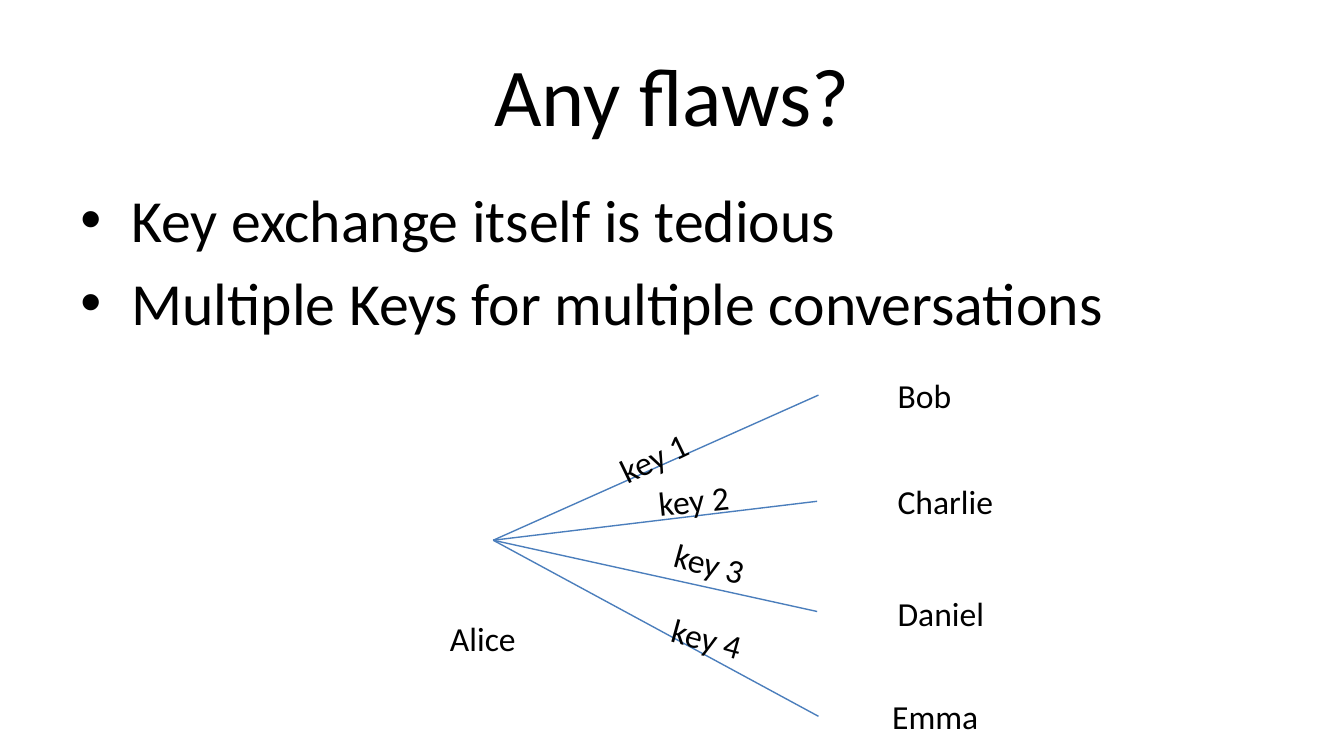
from dataclasses import dataclass

from lxml import etree
from pptx import Presentation
from pptx.dml.color import RGBColor
from pptx.enum.shapes import MSO_CONNECTOR
from pptx.enum.text import MSO_ANCHOR, MSO_AUTO_SIZE, PP_ALIGN
from pptx.oxml.ns import qn
from pptx.util import Inches, Pt

STRAIGHT = MSO_CONNECTOR.STRAIGHT
TOP, MIDDLE = MSO_ANCHOR.TOP, MSO_ANCHOR.MIDDLE
LEFT, CENTER = PP_ALIGN.LEFT, PP_ALIGN.CENTER
FIT_SHAPE = MSO_AUTO_SIZE.SHAPE_TO_FIT_TEXT


@dataclass(frozen=True)
class Theme:
    font: str = "Calibri"
    text: RGBColor = RGBColor(0x00, 0x00, 0x00)
    line: RGBColor = RGBColor(0x4B, 0x7E, 0xBC)
    title_size: Pt = Pt(44)
    body_size: Pt = Pt(32)
    label_size: Pt = Pt(18)
    line_width: Pt = Pt(0.75)


theme = Theme()


def add_text(slide, lines, left, top, width, height, size, wrap=True, anchor=TOP, align=LEFT):
    shape = slide.shapes.add_textbox(Inches(left), Inches(top), Inches(width), Inches(height))
    text_frame = shape.text_frame
    text_frame.word_wrap = wrap
    text_frame.vertical_anchor = anchor
    text_frame.text = "\n".join(lines)
    for paragraph in text_frame.paragraphs:
        paragraph.alignment = align
        for run in paragraph.runs:
            run.font.name = theme.font
            run.font.size = size
            run.font.color.rgb = theme.text
    return shape


def add_label(slide, text, left, top, width, rotation=0):
    shape = add_text(slide, [text], left, top, width, 0.4, theme.label_size, wrap=False)
    shape.text_frame.auto_size = FIT_SHAPE
    shape.rotation = rotation


presentation = Presentation()
presentation.slide_width = Inches(10)
presentation.slide_height = Inches(10 * 9 / 16)
slide = presentation.slides.add_slide(presentation.slide_layouts[6])

add_text(slide, ["Any flaws?"], 0.5, 0.23, 9, 0.94, theme.title_size, anchor=MIDDLE, align=CENTER)

flaws = ["Key exchange itself is tedious", "Multiple Keys for multiple conversations"]
body = add_text(slide, flaws, 0.5, 1.31, 9, 1.33, theme.body_size)
for index, paragraph in enumerate(body.text_frame.paragraphs):
    if index:
        paragraph.space_before = Pt(6.4)
    properties = paragraph._p.get_or_add_pPr()
    properties.set("marL", str(Inches(0.38)))
    properties.set("indent", str(-Inches(0.38)))
    etree.SubElement(properties, qn("a:buFont")).set("typeface", "Arial")
    etree.SubElement(properties, qn("a:buChar")).set("char", "•")

add_label(slide, "Alice", 3.25, 4.55, 0.7)

friends = [
    ("Bob", 6.58, 2.74, 0.61),
    ("Charlie", 6.58, 3.53, 0.92),
    ("Daniel", 6.58, 4.36, 0.85),
    ("Emma", 6.54, 5.13, 0.85),
]
for name, left, top, width in friends:
    add_label(slide, name, left, top, width)

for end_x, end_y in [(6.09, 2.94), (6.08, 3.73), (6.08, 4.55), (6.09, 5.33)]:
    connector = slide.shapes.add_connector(
        STRAIGHT, Inches(3.67), Inches(4.02), Inches(end_x), Inches(end_y)
    )
    connector.line.color.rgb = theme.line
    connector.line.width = theme.line_width
    etree.SubElement(connector._element.spPr, qn("a:effectLst"))

keys = [(4.5, 3.2, 334.2), (4.8, 3.52, 354.1), (4.92, 3.99, 15.4), (4.9, 4.55, 15.4)]
for number, (left, top, rotation) in enumerate(keys, start=1):
    add_label(slide, f"key {number}", left, top, 0.73, rotation)

presentation.save("out.pptx")
